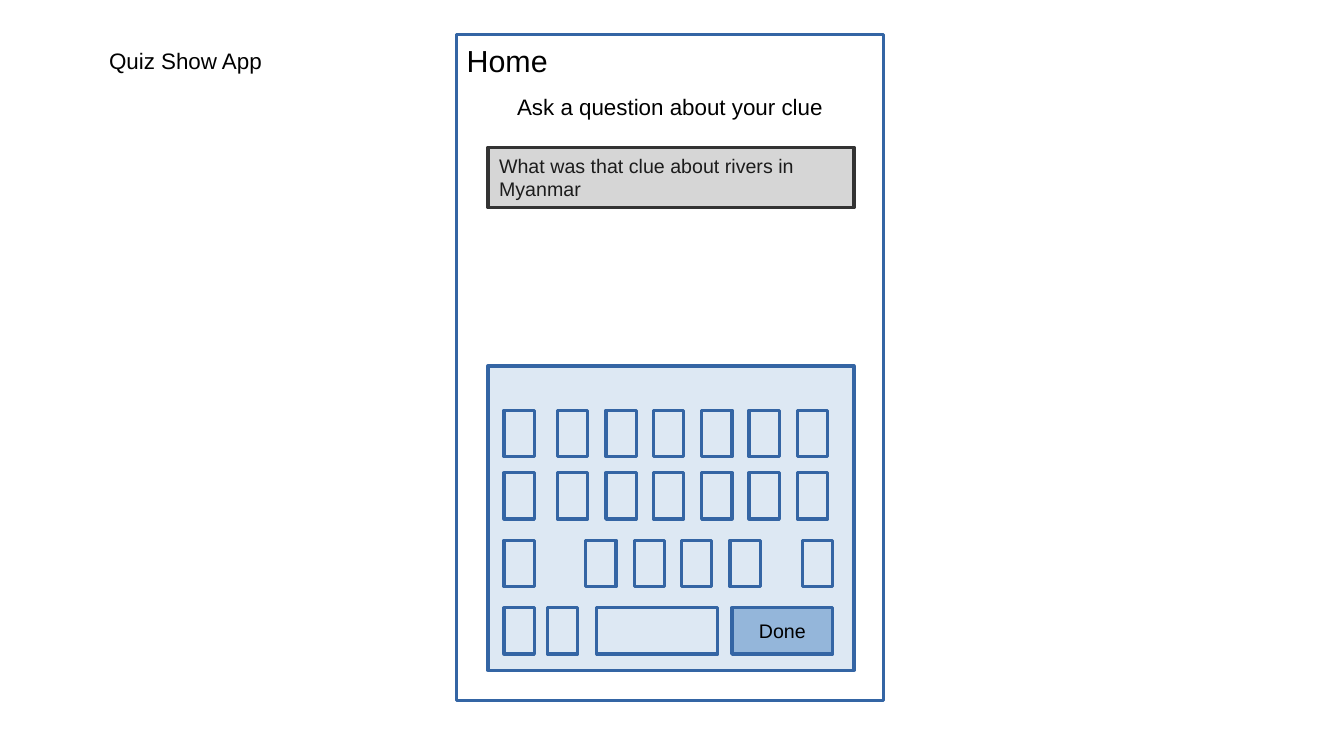
from lxml import etree
from pptx import Presentation
from pptx.dml.color import RGBColor
from pptx.enum.shapes import MSO_SHAPE
from pptx.enum.text import MSO_ANCHOR, MSO_AUTO_SIZE, PP_ALIGN
from pptx.oxml.ns import qn
from pptx.util import Pt

RECTANGLE = MSO_SHAPE.RECTANGLE
TOP, MIDDLE = MSO_ANCHOR.TOP, MSO_ANCHOR.MIDDLE
LEFT, CENTER = PP_ALIGN.LEFT, PP_ALIGN.CENTER
NO_AUTOFIT = MSO_AUTO_SIZE.NONE
TITLE_ONLY = 5

EMU_PER_PX = 9144
FONT = "Arial"
BLACK, INK, CHARCOAL = "000000", "1C1C1C", "333333"
OUTLINE, TINT = "3465A4", "729FCF"

KEY_WIDTH, KEY_HEIGHT, KEY_STEP = 30, 46, 47.6
EDGE_KEY_LEFT = 500


def px(length):
    """Turn a length in px into EMU."""
    return round(length * EMU_PER_PX)


def color(value):
    """Turn a hex string into a colour."""
    return RGBColor.from_string(value)


def write(shape, text, size=14, fill=BLACK, align=LEFT, anchor=TOP, insets=(10, 5)):
    """Put one formatted paragraph into a shape."""
    frame = shape.text_frame
    frame.word_wrap = True
    frame.auto_size = NO_AUTOFIT
    frame.vertical_anchor = anchor
    frame.margin_left = frame.margin_right = px(insets[0])
    frame.margin_top = frame.margin_bottom = px(insets[1])
    para = frame.paragraphs[0]
    para.alignment = align
    span = para.add_run()
    span.text = text
    span.font.name = FONT
    span.font.size = Pt(size)
    span.font.color.rgb = color(fill)


def add_title(page, text, left, top, width, height):
    """Place and fill the title placeholder."""
    title = page.shapes.title
    title.left, title.top = px(left), px(top)
    title.width, title.height = px(width), px(height)
    write(title, text, size=16, align=CENTER, anchor=MIDDLE, insets=(0, 0))


def add_label(page, text, left, top, width, height, **text_format):
    """Add a text box."""
    box = page.shapes.add_textbox(px(left), px(top), px(width), px(height))
    write(box, text, **text_format)


def add_panel(page, left, top, width, height, fill=None, opacity=100, line=OUTLINE):
    """Add an outlined rectangle with an optional translucent fill."""
    panel = page.shapes.add_shape(RECTANGLE, px(left), px(top), px(width), px(height))
    panel.shadow.inherit = False
    panel.line.color.rgb = color(line)
    panel.line.width = Pt(2.3)
    if fill is None:
        panel.fill.background()
    else:
        panel.fill.solid()
        panel.fill.fore_color.rgb = color(fill)
        tone = panel.fill._xPr.find(qn("a:solidFill"))[0]
        etree.SubElement(tone, qn("a:alpha"), val=str(opacity * 1000))
    return panel


def add_keys(page, left, top, count=1):
    """Add a row of evenly spaced keys."""
    for index in range(count):
        add_panel(page, round(left + index * KEY_STEP), top, KEY_WIDTH, KEY_HEIGHT)


def add_keyboard(page):
    """Add the keyboard tray with its four rows of keys."""
    add_panel(page, 484, 363, 363, 302, fill=TINT, opacity=24)
    for top in (407, 469, 536, 603):
        add_keys(page, EDGE_KEY_LEFT, top)
    for top in (407, 469):
        add_keys(page, 553, top, count=6)
    add_keys(page, 581, 536, count=4)
    add_keys(page, 796, 536)
    add_keys(page, 543, 603)
    add_panel(page, 592, 603, 120, KEY_HEIGHT)
    done = add_panel(page, 726, 603, 100, KEY_HEIGHT, fill=TINT, opacity=68)
    write(done, "Done", align=CENTER, anchor=MIDDLE, insets=(11, 6))


def main():
    """Build and save the slide."""
    deck = Presentation()
    deck.slide_width, deck.slide_height = px(1333), px(750)
    page = deck.slides.add_slide(deck.slide_layouts[TITLE_ONLY])
    add_title(page, "Quiz Show App", 66, 15, 236, 90)
    add_panel(page, 453, 34, 423, 661)
    question = add_panel(page, 484, 146, 363, 60, fill=CHARCOAL, opacity=20, line=CHARCOAL)
    write(question, "What was that clue about rivers in Myanmar",
          fill=INK, anchor=MIDDLE, insets=(11, 6))
    add_label(page, "Home", 453, 37, 423, 52, size=21.7)
    add_label(page, "Ask a question about your clue", 453, 87, 423, 107,
              size=16, align=CENTER)
    add_keyboard(page)
    deck.save("out.pptx")


if __name__ == "__main__":
    main()
